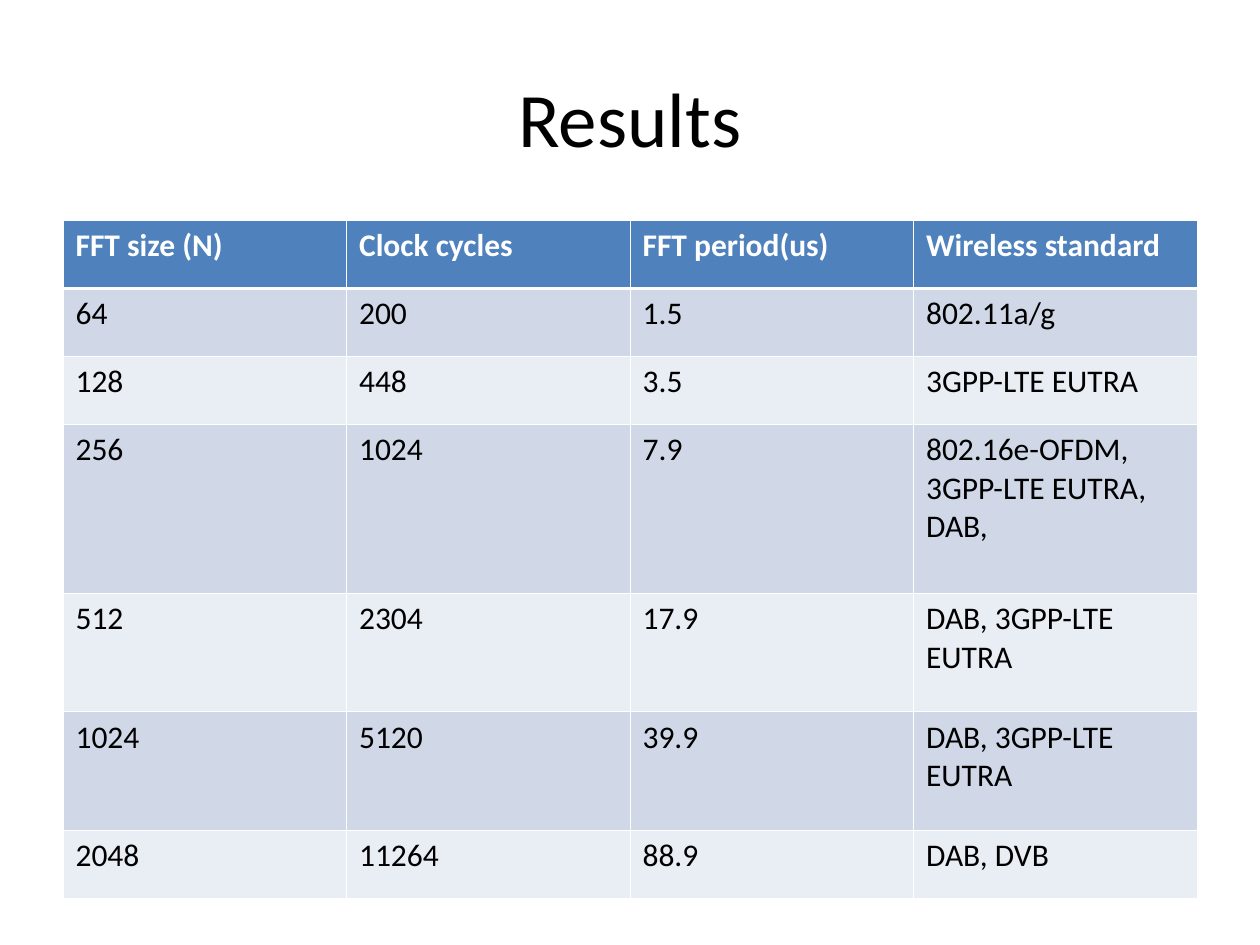
from typing import Any, NamedTuple

from lxml import etree
from pptx import Presentation
from pptx.dml.color import RGBColor
from pptx.enum.text import MSO_ANCHOR, PP_ALIGN
from pptx.oxml.ns import qn
from pptx.util import Inches, Pt

MIDDLE = MSO_ANCHOR.MIDDLE
CENTER = PP_ALIGN.CENTER
LEFT = PP_ALIGN.LEFT

WIDE, HIGH = 10, 7.5
EDGE = WIDE / 20
SPAN = WIDE - 2 * EDGE
BASE, STEP = 0.54, 0.4
THIN, THICK = 0.45, 1.47

HUES = {
    "head": "4F81BD",
    "odd": "D0D8E8",
    "even": "E9EDF4",
    "rule": "FFFFFF",
    "light": "FFFFFF",
    "dark": "000000",
}


class Row(NamedTuple):
    size: str
    clocks: str
    time: str
    norm: str
    lines: int = 1


ROWS = [
    Row("FFT size (N)", "Clock cycles", "FFT period(us)", "Wireless standard"),
    Row("64", "200", "1.5", "802.11a/g"),
    Row("128", "448", "3.5", "3GPP-LTE EUTRA"),
    Row("256", "1024", "7.9", "802.16e-OFDM, 3GPP-LTE EUTRA, DAB,", 3),
    Row("512", "2304", "17.9", "DAB, 3GPP-LTE EUTRA", 2),
    Row("1024", "5120", "39.9", "DAB, 3GPP-LTE EUTRA", 2),
    Row("2048", "11264", "88.9", "DAB, DVB"),
]


def write(frame: Any, text: str, hue: str, align: Any, form: dict) -> None:
    frame.text = text
    para = frame.paragraphs[0]
    para.alignment = align
    font = para.runs[0].font
    for name, value in ({"name": "Calibri"} | form).items():
        setattr(font, name, value)
    font.color.rgb = RGBColor.from_string(HUES[hue])


def rule(cell: Any, top: float, base: float) -> None:
    props = cell._tc.get_or_add_tcPr()
    sides = {"a:lnL": THIN, "a:lnR": THIN, "a:lnT": top, "a:lnB": base}
    for spot, (tag, width) in enumerate(sides.items()):
        line = etree.Element(qn(tag), w=str(int(Pt(width))))
        fill = etree.SubElement(line, qn("a:solidFill"))
        etree.SubElement(fill, qn("a:srgbClr"), val=HUES["rule"])
        props.insert(spot, line)


def draw_row(table: Any, index: int, row: Row) -> None:
    head = index == 0
    band = "head" if head else "odd" if index % 2 else "even"
    table.rows[index].height = Inches(BASE + STEP * (row.lines - 1))
    for col, text in enumerate(row[:4]):
        cell = table.cell(index, col)
        cell.fill.solid()
        cell.fill.fore_color.rgb = RGBColor.from_string(HUES[band])
        rule(cell, THICK if index == 1 else THIN, THICK if head else THIN)
        write(cell.text_frame, text, "light" if head else "dark", LEFT,
              {"size": Pt(18), "bold": head})


def main() -> None:
    deck = Presentation()
    deck.slide_width, deck.slide_height = Inches(WIDE), Inches(HIGH)
    slide = deck.slides.add_slide(deck.slide_layouts[5])

    title = slide.shapes.title
    place = {"left": EDGE, "top": HIGH / 25, "width": SPAN, "height": HIGH / 6}
    for name, value in place.items():
        setattr(title, name, Inches(value))
    title.text_frame.vertical_anchor = MIDDLE
    write(title.text_frame, "Results", "dark", CENTER, {"size": Pt(44)})

    tall = sum(BASE + STEP * (row.lines - 1) for row in ROWS)
    table = slide.shapes.add_table(
        len(ROWS), 4, Inches(EDGE), Inches(1.75), Inches(SPAN), Inches(tall)
    ).table
    for index, row in enumerate(ROWS):
        draw_row(table, index, row)

    deck.save("out.pptx")


if __name__ == "__main__":
    main()
